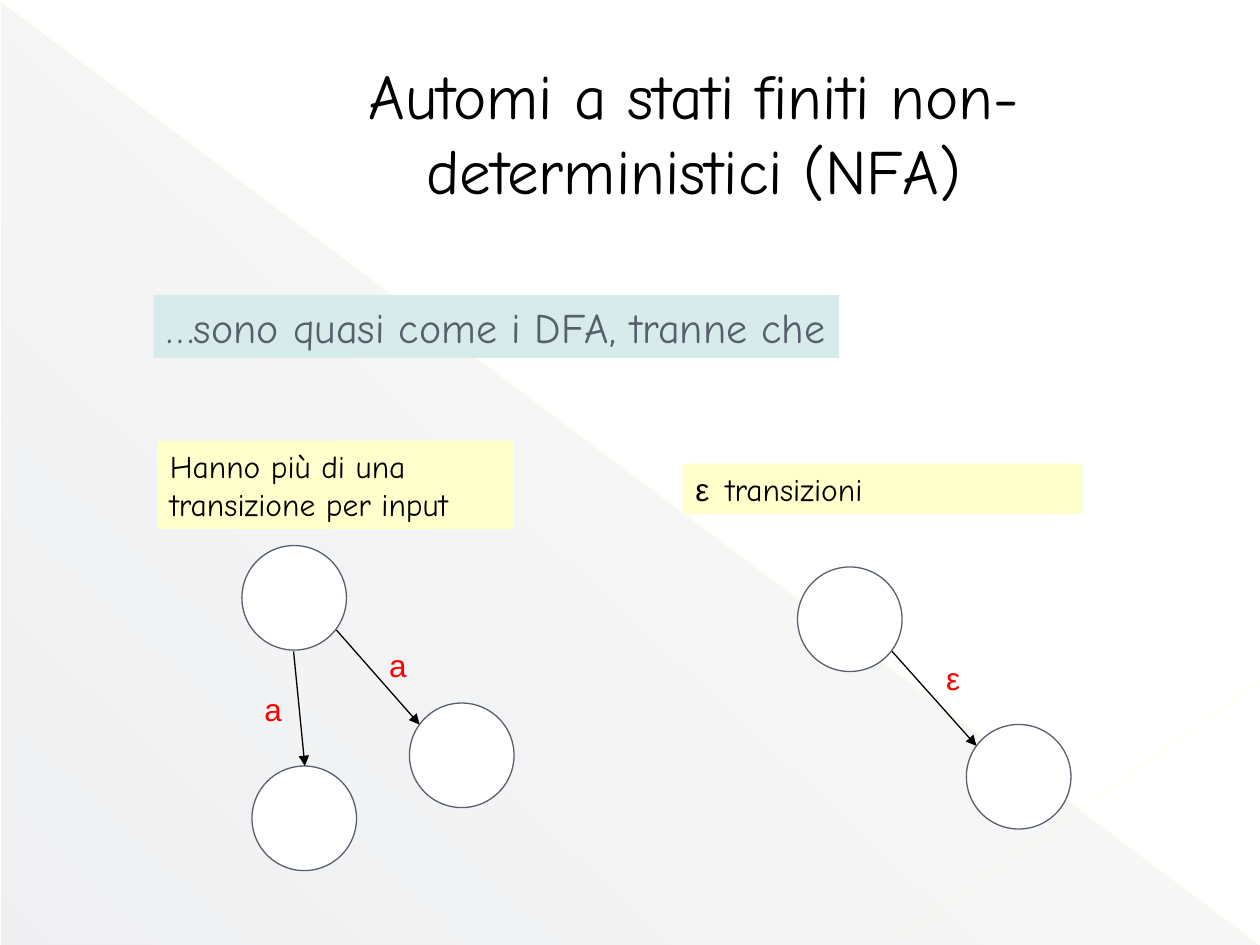
from dataclasses import dataclass

from lxml.etree import SubElement
from pptx import Presentation
from pptx.dml.color import RGBColor
from pptx.enum.shapes import MSO_CONNECTOR, MSO_SHAPE
from pptx.enum.text import MSO_ANCHOR, PP_ALIGN
from pptx.oxml.ns import qn
from pptx.util import Inches, Pt

SLATE, BLACK, WHITE, RED = "575F6D", "000000", "FFFFFF", "FF0000"
YELLOW, TEAL = "FFFFCC", "D7EBEB"
HAND, SANS = "Comic Neue", "Arial"
STATE_DIAMETER = 0.83


@dataclass
class Label:
    text: str
    left: float
    top: float
    width: float
    height: float
    size: int = 18
    font: str = HAND
    color: str = BLACK
    fill: str | None = None
    wrap: bool = True


@dataclass
class Line:
    start: tuple[float, float]
    end: tuple[float, float]
    color: str = BLACK
    width: float = 0.75
    opacity: int = 100
    arrow: bool = True


BACKGROUND_LINES = [
    Line((0, 0.01), (9.99, 7.49), "FFFFBA", 0.4, 35, False),
    Line((10, 5.41), (7.07, 7.49), "FFFFC1", 0.48, 45, False),
]
STATES = [(1.92, 4.33), (2, 6.08), (3.25, 5.58), (6.33, 4.5), (7.67, 5.75)]
TRANSITIONS = [
    Line((2.33, 5.17), (2.42, 6.08)),
    Line((2.67, 5), (3.33, 5.75)),
    Line((7.08, 5.17), (7.75, 5.92)),
]
TITLE = Label("Automi a stati finiti non-deterministici (NFA)", 1.67, 0.21, 7.67, 1.67, 36)
EPSILON_NOTE = Label("", 5.42, 3.68, 3.17, 0.4, fill=YELLOW)
LABELS = [
    Label("a", 2, 5.43, 0.34, 0.4, 18, SANS, RED, wrap=False),
    Label("a", 2.99, 5.08, 0.34, 0.4, 18, SANS, RED, wrap=False),
    Label("ε", 7.41, 5.18, 0.31, 0.4, 18, SANS, RED, wrap=False),
    Label("Hanno più di una transizione per input", 1.25, 3.5, 2.83, 0.7, fill=YELLOW),
    Label("…sono quasi come i DFA, tranne che", 1.22, 2.34, 5.44, 0.5, 24,
          color=SLATE, fill=TEAL, wrap=False),
]


def rgb(value: str) -> RGBColor:
    return RGBColor.from_string(value)


def set_opacity(element, percent: int) -> None:
    """Give every colour below the element the same opacity."""
    for color in element.iter(qn("a:srgbClr")):
        SubElement(color, qn("a:alpha"), val=str(percent * 1000))


def add_background_triangle(slide) -> None:
    triangle = slide.shapes.add_shape(
        MSO_SHAPE.RIGHT_TRIANGLE, Inches(0.01), Inches(0.02), Inches(9.99), Inches(7.48))
    triangle.shadow.inherit = False
    triangle.line.fill.background()
    triangle.fill.gradient()
    triangle.fill.gradient_angle = 227
    stops = triangle._element.spPr.iter(qn("a:gs"))
    for stop, element, percent in zip(triangle.fill.gradient_stops, stops, (1, 10)):
        stop.color.rgb = rgb(SLATE)
        set_opacity(element, percent)


def add_line(slide, line: Line) -> None:
    connector = slide.shapes.add_connector(
        MSO_CONNECTOR.STRAIGHT, *map(Inches, line.start + line.end))
    connector.line.color.rgb = rgb(line.color)
    connector.line.width = Pt(line.width)
    properties = connector._element.spPr
    if line.opacity < 100:
        set_opacity(properties, line.opacity)
    if line.arrow:
        SubElement(properties.find(qn("a:ln")), qn("a:tailEnd"), type="triangle")
    SubElement(properties, qn("a:effectLst"))


def add_state(slide, left: float, top: float) -> None:
    state = slide.shapes.add_shape(
        MSO_SHAPE.OVAL, Inches(left), Inches(top),
        Inches(STATE_DIAMETER), Inches(STATE_DIAMETER))
    state.shadow.inherit = False
    state.fill.solid()
    state.fill.fore_color.rgb = rgb(WHITE)
    state.line.color.rgb = rgb(SLATE)
    state.line.width = Pt(0.75)


def add_label(slide, label: Label):
    box = slide.shapes.add_textbox(
        Inches(label.left), Inches(label.top), Inches(label.width), Inches(label.height))
    if label.fill:
        box.fill.solid()
        box.fill.fore_color.rgb = rgb(label.fill)
    box.text_frame.word_wrap = label.wrap
    para = box.text_frame.paragraphs[0]
    para.text = label.text
    para.font.size = Pt(label.size)
    para.font.name = label.font
    para.font.color.rgb = rgb(label.color)
    return box


def add_title(slide) -> None:
    frame = add_label(slide, TITLE).text_frame
    frame.vertical_anchor = MSO_ANCHOR.MIDDLE
    frame.paragraphs[0].alignment = PP_ALIGN.CENTER


def add_epsilon_note(slide) -> None:
    """Add the note whose symbol and word differ in font, set apart by a tab stop."""
    para = add_label(slide, EPSILON_NOTE).text_frame.paragraphs[0]
    tabs = para._p.get_or_add_pPr()
    tab_list = SubElement(tabs, qn("a:tabLst"))
    SubElement(tab_list, qn("a:tab"), pos=str(Inches(0.24)), algn="l")
    tabs.insert(0, tab_list)
    for text, font in (("ε\t", SANS), ("transizioni", HAND)):
        span = para.add_run()
        span.text = text
        span.font.name = font


def main() -> None:
    deck = Presentation()
    deck.slide_width, deck.slide_height = Inches(10), Inches(7.5)
    slide = deck.slides.add_slide(deck.slide_layouts[6])
    add_background_triangle(slide)
    for line in BACKGROUND_LINES:
        add_line(slide, line)
    add_title(slide)
    for left, top in STATES:
        add_state(slide, left, top)
    for transition in TRANSITIONS:
        add_line(slide, transition)
    for label in LABELS:
        add_label(slide, label)
    add_epsilon_note(slide)
    deck.save("out.pptx")


if __name__ == "__main__":
    main()
